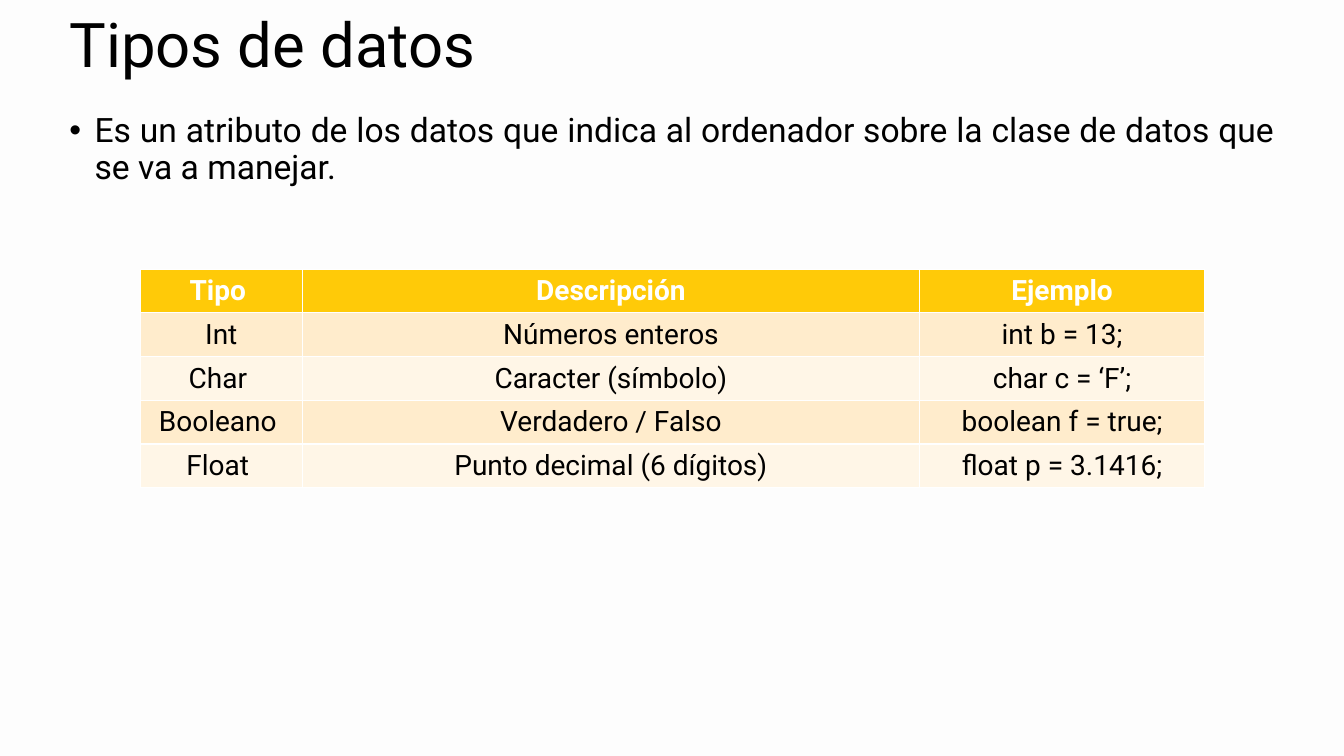
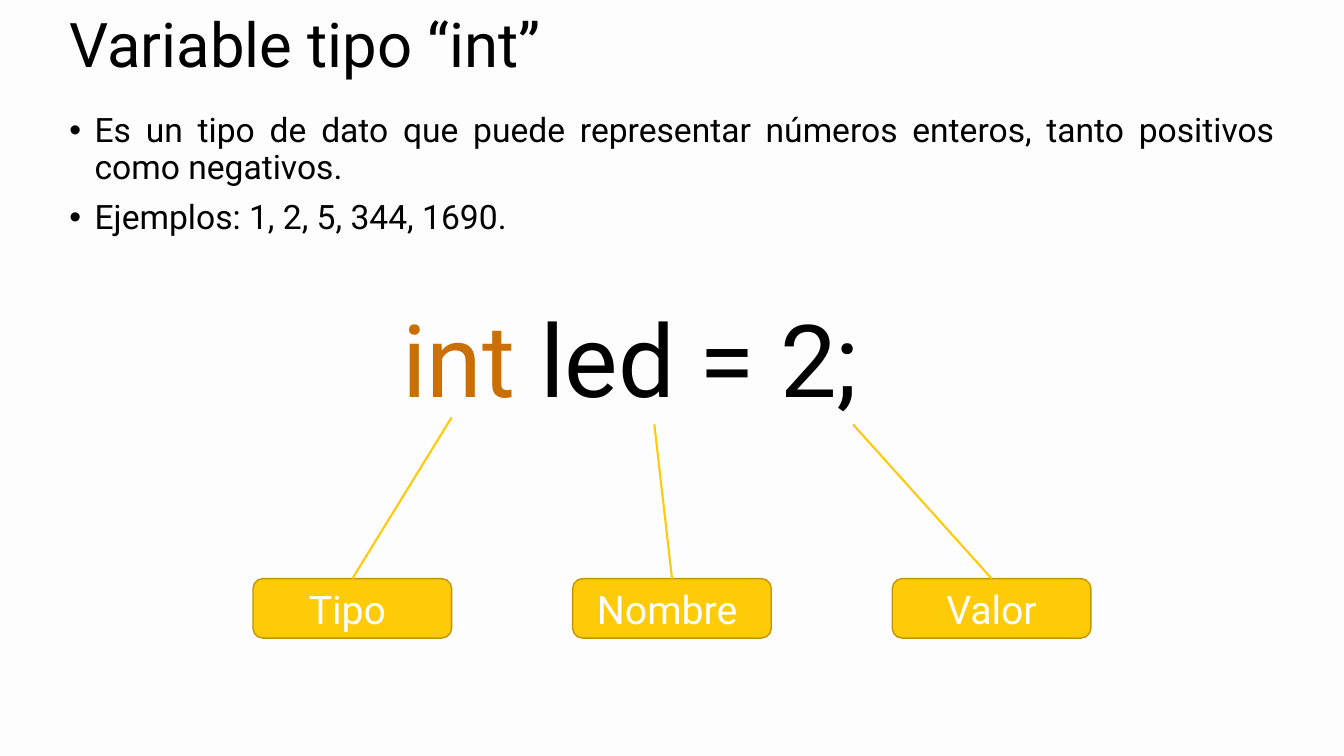
from lxml.etree import SubElement
from pptx import Presentation
from pptx.dml.color import RGBColor
from pptx.enum.shapes import MSO_CONNECTOR, MSO_SHAPE
from pptx.enum.text import MSO_ANCHOR, PP_ALIGN
from pptx.oxml.ns import qn
from pptx.util import Inches, Pt

FONT = "Roboto"
BACKGROUND = RGBColor(0xFD, 0xFD, 0xFD)
BLACK = RGBColor(0x00, 0x00, 0x00)
WHITE = RGBColor(0xFF, 0xFF, 0xFF)
YELLOW = RGBColor(0xFF, 0xCA, 0x08)
DARK_YELLOW = RGBColor(0xBD, 0x95, 0x06)
ORANGE = RGBColor(0xCA, 0x6F, 0x06)
ROW_FILLS = (RGBColor(0xFF, 0xEC, 0xCC), RGBColor(0xFF, 0xF6, 0xE7))

LEFT, CONTENT_WIDTH = 0.59, 12.15
BOX_LEFT, BOX_TOP, BOX_WIDTH, BOX_HEIGHT, BOX_PITCH = 2.51, 5.74, 1.97, 0.59, 3.17

TYPE_COLUMNS = (1.61, 6.12, 2.83)
TYPE_ROWS = (
    ("Tipo ", "Descripción", "Ejemplo"),
    ("Int", "Números enteros", "int b = 13;"),
    ("Char ", "Caracter (símbolo)", "char c = ‘F’;"),
    ("Booleano ", "Verdadero / Falso", "boolean f = true;"),
    ("Float ", "Punto decimal (6 dígitos)", "float p = 3.1416;"),
)
# Label of each part and the point under the code that it refers to
CODE_PARTS = (
    ("Tipo ", 4.48, 4.14),
    ("Nombre ", 6.49, 4.21),
    ("Valor", 8.46, 4.21),
)


def add_run(p, text, size, color=BLACK, bold=False):
    r = p.add_run()
    r.text = text
    r.font.name = FONT
    r.font.size = Pt(size)
    r.font.bold = bold
    r.font.color.rgb = color


def add_text_frame(s, left, top, width, height, anchor=MSO_ANCHOR.TOP):
    box = s.shapes.add_textbox(Inches(left), Inches(top), Inches(width), Inches(height))
    tf = box.text_frame
    tf.word_wrap = True
    tf.vertical_anchor = anchor
    return tf


def add_bullets(s, texts):
    tf = add_text_frame(s, LEFT, 1.08, CONTENT_WIDTH, 5.83)
    for i, text in enumerate(texts):
        p = tf.add_paragraph() if i else tf.paragraphs[0]
        p.alignment = PP_ALIGN.JUSTIFY
        p.line_spacing = 0.9
        p.space_before = Pt(10)
        pPr = p._p.get_or_add_pPr()
        pPr.set("marL", str(Inches(0.25)))
        pPr.set("indent", str(Inches(-0.25)))
        SubElement(pPr, qn("a:buFont"), typeface="Arial")
        SubElement(pPr, qn("a:buChar"), char="•")
        add_run(p, text, 24)


def add_content_slide(prs, title, bullets):
    s = prs.slides.add_slide(prs.slide_layouts[6])
    s.background.fill.solid()
    s.background.fill.fore_color.rgb = BACKGROUND
    tf = add_text_frame(s, LEFT, 0.05, CONTENT_WIDTH, 0.84, MSO_ANCHOR.MIDDLE)
    p = tf.paragraphs[0]
    p.line_spacing = 0.9
    add_run(p, title, 44)
    add_bullets(s, bullets)
    return s


def add_type_table(s):
    frame = s.shapes.add_table(len(TYPE_ROWS), len(TYPE_COLUMNS), Inches(1.39), Inches(2.67),
                               Inches(sum(TYPE_COLUMNS)), Inches(0.43 * len(TYPE_ROWS)))
    table = frame.table
    for column, width in zip(table.columns, TYPE_COLUMNS):
        column.width = Inches(width)
    for i, texts in enumerate(TYPE_ROWS):
        header = i == 0
        for cell, text in zip(table.rows[i].cells, texts):
            cell.fill.solid()
            cell.fill.fore_color.rgb = YELLOW if header else ROW_FILLS[(i - 1) % 2]
            cell.vertical_anchor = MSO_ANCHOR.MIDDLE
            p = cell.text_frame.paragraphs[0]
            p.alignment = PP_ALIGN.CENTER
            add_run(p, text, 20, WHITE if header else BLACK, header)


def add_label_box(s, left, text):
    box = s.shapes.add_shape(MSO_SHAPE.ROUNDED_RECTANGLE, Inches(left), Inches(BOX_TOP),
                             Inches(BOX_WIDTH), Inches(BOX_HEIGHT))
    box.shadow.inherit = False
    box.fill.solid()
    box.fill.fore_color.rgb = YELLOW
    box.line.color.rgb = DARK_YELLOW
    box.line.width = Pt(1)
    tf = box.text_frame
    tf.vertical_anchor = MSO_ANCHOR.MIDDLE
    p = tf.paragraphs[0]
    p.alignment = PP_ALIGN.CENTER
    add_run(p, text, 28, WHITE)


def add_line(s, x1, y1, x2, y2):
    line = s.shapes.add_connector(MSO_CONNECTOR.STRAIGHT, Inches(x1), Inches(y1),
                                  Inches(x2), Inches(y2))
    line.line.color.rgb = YELLOW
    line.line.width = Pt(1.5)
    SubElement(line._element.spPr, qn("a:effectLst"))


def add_code_diagram(s):
    p = add_text_frame(s, 3.89, 2.89, 5.2, 1.31).paragraphs[0]
    add_run(p, "int", 72, ORANGE)
    add_run(p, " led = 2;", 72)
    for i, (label, x, y) in enumerate(CODE_PARTS):
        left = BOX_LEFT + i * BOX_PITCH
        add_label_box(s, left, label)
        add_line(s, left + BOX_WIDTH / 2, BOX_TOP, x, y)


def main():
    prs = Presentation()
    prs.slide_width = Inches(13.33)
    prs.slide_height = Inches(7.5)

    s = add_content_slide(prs, "Tipos de datos", [
        "Es un atributo de los datos que indica al ordenador sobre la clase de datos "
        "que se va a manejar.",
    ])
    add_type_table(s)

    s = add_content_slide(prs, "Variable tipo “int”", [
        "Es un tipo de dato que puede representar números enteros, tanto positivos "
        "como negativos.",
        "Ejemplos: 1, 2, 5, 344, 1690.",
    ])
    add_code_diagram(s)

    prs.save("out.pptx")


if __name__ == "__main__":
    main()
